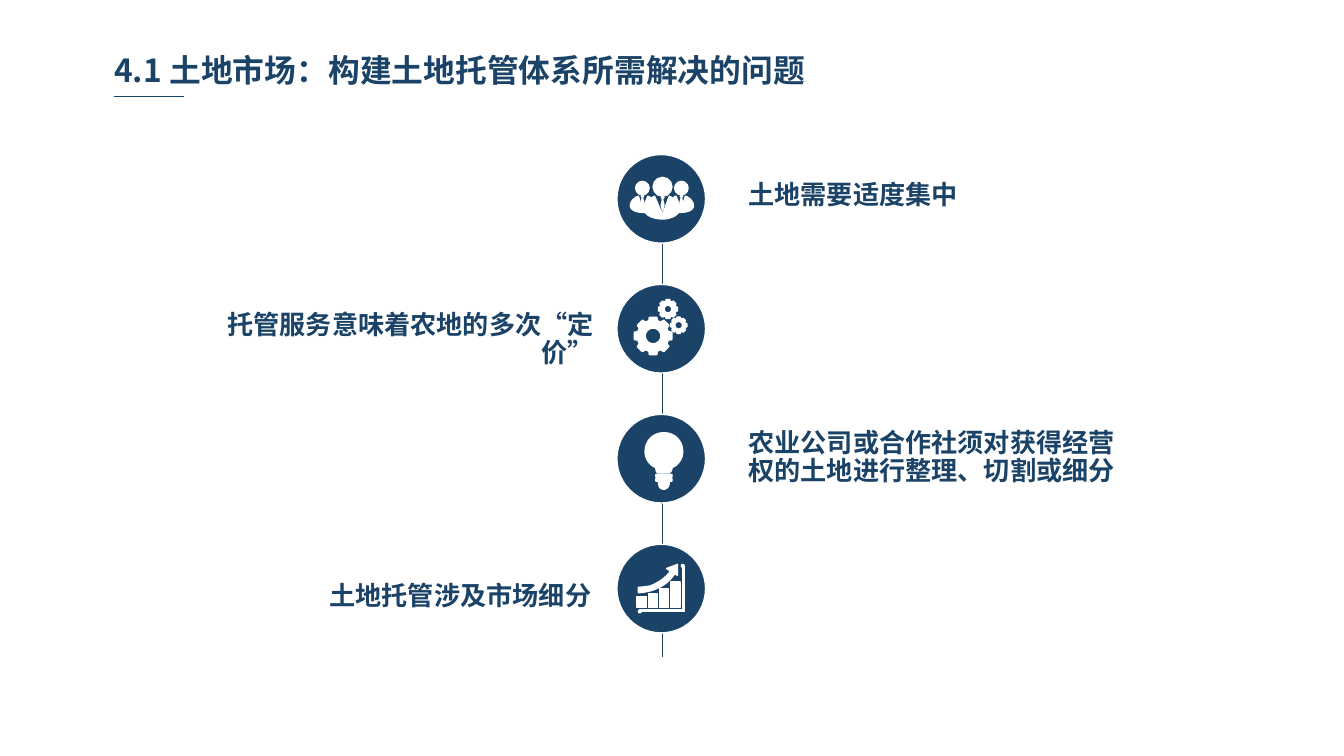
from math import cos, pi, sin

from lxml.etree import SubElement
from pptx import Presentation
from pptx.dml.color import RGBColor
from pptx.enum.shapes import MSO_CONNECTOR, MSO_SHAPE
from pptx.enum.text import MSO_ANCHOR, PP_ALIGN
from pptx.oxml.ns import qn
from pptx.util import Inches, Pt

NAVY, WHITE = "1B4367", "FFFFFF"
FONT = "Noto Sans CJK SC"
TITLE = "4.1 土地市场：构建土地托管体系所需解决的问题"

# text, left, top, width, height, alignment
ISSUES = [
    ("土地需要适度集中", 5.47, 1.3, 1.84, 0.31, PP_ALIGN.LEFT),
    ("托管服务意味着农地的多次“定价”", 1.29, 2.27, 3.23, 0.31, PP_ALIGN.RIGHT),
    ("农业公司或合作社须对获得经营权的土地进行整理、切割或细分", 5.47, 3.15, 2.96, 0.52, PP_ALIGN.LEFT),
    ("土地托管涉及市场细分", 1.8, 4.29, 2.7, 0.31, PP_ALIGN.RIGHT),
]
NODE_X, FIRST_NODE_Y, LAST_NODE_Y, NODE_RADIUS = 4.92, 1.48, 4.38, 0.33
NODE_STEP = (LAST_NODE_Y - FIRST_NODE_Y) / (len(ISSUES) - 1)

# Outlines: pairs are corners, sixes are cubic curves (two controls, end)
MIDDLE_BODY = [
    (5.05, 1.57), (5.05, 1.52, 5.02, 1.48, 4.98, 1.46), (4.93, 1.6), (4.87, 1.46),
    (4.83, 1.48, 4.8, 1.52, 4.8, 1.57), (4.8, 1.6, 4.86, 1.63, 4.93, 1.63),
    (4.99, 1.63, 5.05, 1.6, 5.05, 1.57),
]
SIDE_BODY = [
    (4.8, 1.57), (4.8, 1.53, 4.81, 1.49, 4.84, 1.47), (4.82, 1.46), (4.78, 1.56),
    (4.75, 1.46), (4.72, 1.47, 4.69, 1.5, 4.69, 1.53),
    (4.69, 1.56, 4.73, 1.58, 4.78, 1.58), (4.8, 1.58),
]
HEADS = [(4.78, 1.4, 0.05), (4.93, 1.39, 0.07), (5.07, 1.4, 0.05)]
TIES = [(4.78, 1.45, 0.01, 0.07), (4.93, 1.46, 0.01, 0.09), (5.07, 1.45, 0.01, 0.07)]
GEARS = [(4.86, 2.5, 0.14, 0.06), (4.97, 2.3, 0.07, 0.03), (5.05, 2.42, 0.06, 0.03)]
BULB = [
    (5.08, 3.36), (5.08, 3.28, 5.02, 3.22, 4.94, 3.22), (4.86, 3.22, 4.8, 3.28, 4.8, 3.36),
    (4.8, 3.41, 4.83, 3.46, 4.88, 3.48), (4.88, 3.51, 4.89, 3.52, 4.9, 3.52), (4.97, 3.52),
    (4.98, 3.52, 5, 3.51, 5, 3.48), (5.05, 3.46, 5.08, 3.41, 5.08, 3.36),
]
BULB_FOOT = [(4.9, 3.59), (4.9, 3.62, 4.91, 3.64, 4.94, 3.64), (4.96, 3.64, 4.98, 3.62, 4.98, 3.59)]
BULB_RING_TOPS = [3.53, 3.56]
ARROW = [
    (5.04, 4.28), (5.04, 4.2), (4.96, 4.23), (4.99, 4.25), (4.95, 4.3, 4.91, 4.33, 4.84, 4.36),
    (4.79, 4.37, 4.75, 4.37, 4.75, 4.37), (4.75, 4.41), (4.75, 4.41, 4.8, 4.41, 4.86, 4.39),
    (4.92, 4.37, 4.98, 4.33, 5.02, 4.27),
]
BAR_TOPS = [4.44, 4.42, 4.38, 4.33]
BAR_LEFT, LAST_BAR_LEFT, BAR_BOTTOM = 4.74, 4.99, 4.52
AXES = [(5.08, 4.22), (5.08, 4.54), (4.76, 4.54), (4.76, 4.55), (5.09, 4.55), (5.09, 4.22)]
AXIS_ENDS = [(5.08, 4.21), (4.76, 4.55)]


def color(value):
    return RGBColor.from_string(value)


def paint(shape, fill=WHITE, width=0.75):
    shape.shadow.inherit = False
    shape.fill.solid()
    shape.fill.fore_color.rgb = color(fill)
    shape.line.color.rgb = color(WHITE)
    shape.line.width = Pt(width)


def add_block(kind, left, top, width, height, fill=WHITE):
    box = slide.shapes.add_shape(kind, *map(Inches, (left, top, width, height)))
    paint(box, fill)


def add_disc(x, y, radius, fill=WHITE):
    add_block(MSO_SHAPE.OVAL, x - radius, y - radius, 2 * radius, 2 * radius, fill)


def flatten(outline, steps=8):
    """Turn the cubic curves of an outline into short straight segments."""
    points = [outline[0]]
    for piece in outline[1:]:
        if len(piece) == 2:
            points.append(piece)
            continue
        knots = [points[-1], piece[:2], piece[2:4], piece[4:]]
        for step in range(1, steps + 1):
            t = step / steps
            weights = ((1 - t) ** 3, 3 * t * (1 - t) ** 2, 3 * t * t * (1 - t), t ** 3)
            points.append(tuple(sum(w * k[axis] for w, k in zip(weights, knots)) for axis in (0, 1)))
    return points


def add_outline(*contours, width=0.75):
    """Draw closed contours as one shape; later contours cut holes."""
    contours = [[(Inches(x), Inches(y)) for x, y in contour] for contour in contours]
    builder = slide.shapes.build_freeform(*contours[0][0])
    builder.add_line_segments(contours[0][1:], close=True)
    for contour in contours[1:]:
        builder.move_to(*contour[0])
        builder.add_line_segments(contour[1:], close=True)
    paint(builder.convert_to_shape(), width=width)


def polar(x, y, radius, angle):
    return x + radius * cos(angle), y + radius * sin(angle)


def add_gear(x, y, radius, hole, teeth=8):
    rim = []
    for tooth in range(teeth):
        middle = 2 * pi * tooth / teeth
        for offset, reach in ((-0.26, 0.83), (-0.19, 1), (0.19, 1), (0.26, 0.83)):
            rim.append(polar(x, y, radius * reach, middle + offset))
    add_outline(rim, [polar(x, y, hole, -2 * pi * n / 32) for n in range(32)], width=1)


def add_tie(x, top, half, ribbon):
    """Draw a knot and, below it, a ribbon; both are diamonds."""
    for start, length in ((top, 2 * half), (top + 0.02, ribbon)):
        middle = start + length / 2
        add_outline([(x, start), (x + half, middle), (x, start + length), (x - half, middle)])


def add_line(*ends):
    line = slide.shapes.add_connector(MSO_CONNECTOR.STRAIGHT, *map(Inches, ends))
    line.line.color.rgb = color(NAVY)
    line.line.width = Pt(0.75)
    SubElement(line._element.spPr, qn("a:effectLst"))


def write(frame, text, size, align):
    frame.word_wrap = True
    frame.vertical_anchor = MSO_ANCHOR.TOP
    para = frame.paragraphs[0]
    para.text = text
    para.alignment = align
    font = para.font
    font.size, font.bold, font.name = Pt(size), True, FONT
    font.color.rgb = color(NAVY)
    defaults = para._p.pPr.find(qn("a:defRPr"))
    SubElement(defaults, qn("a:ea")).set("typeface", FONT)
    return para


deck = Presentation()
deck.slide_width, deck.slide_height = Inches(10), Inches(10 * 9 / 16)
slide = deck.slides.add_slide(deck.slide_layouts[5])

title = slide.shapes.title
title.left, title.top, title.width, title.height = map(Inches, (0.78, 0.34, 5.45, 0.36))
frame = title.text_frame
frame.margin_left = frame.margin_right = Inches(0.07)
frame.margin_top = frame.margin_bottom = Inches(0.04)
write(frame, TITLE, 17, PP_ALIGN.LEFT)
add_line(0.85, 0.72, 1.37, 0.72)

add_line(4.93, 1.22, 4.93, 4.89)
for index, (text, left, top, width, height, align) in enumerate(ISSUES):
    add_disc(NODE_X, FIRST_NODE_Y + index * NODE_STEP, NODE_RADIUS, NAVY)
    box = slide.shapes.add_textbox(*map(Inches, (left, top, width, height)))
    write(box.text_frame, text, 14, align).line_spacing = Pt(15)

# People
side = flatten(SIDE_BODY)
for body in (flatten(MIDDLE_BODY), side, [(9.85 - x, y) for x, y in side]):
    add_outline(body)
for head in HEADS:
    add_disc(*head)
for tie in TIES:
    add_tie(*tie)

# Gears
for gear in GEARS:
    add_gear(*gear)

# Light bulb
for part in (BULB, BULB_FOOT):
    add_outline(flatten(part))
for top in BULB_RING_TOPS:
    add_block(MSO_SHAPE.ROUNDED_RECTANGLE, 4.88, top, 0.12, 0.02)

# Rising bars
add_outline(flatten(ARROW))
bar_step = (LAST_BAR_LEFT - BAR_LEFT) / (len(BAR_TOPS) - 1)
for index, top in enumerate(BAR_TOPS):
    add_block(MSO_SHAPE.RECTANGLE, BAR_LEFT + index * bar_step, top, 0.07, BAR_BOTTOM - top)
add_outline(AXES)
for x, y in AXIS_ENDS:
    add_disc(x, y, 0.01)

deck.save("out.pptx")
